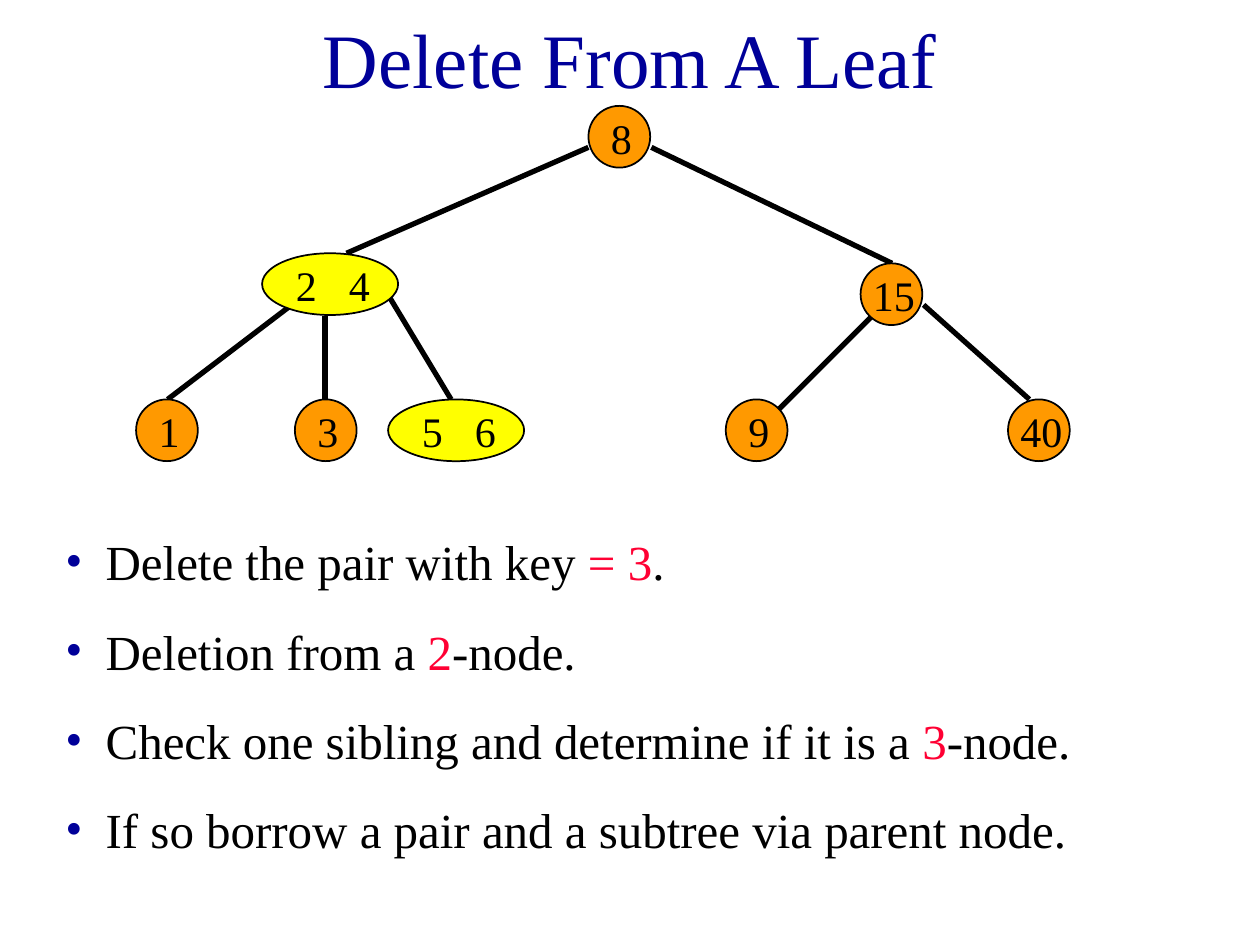
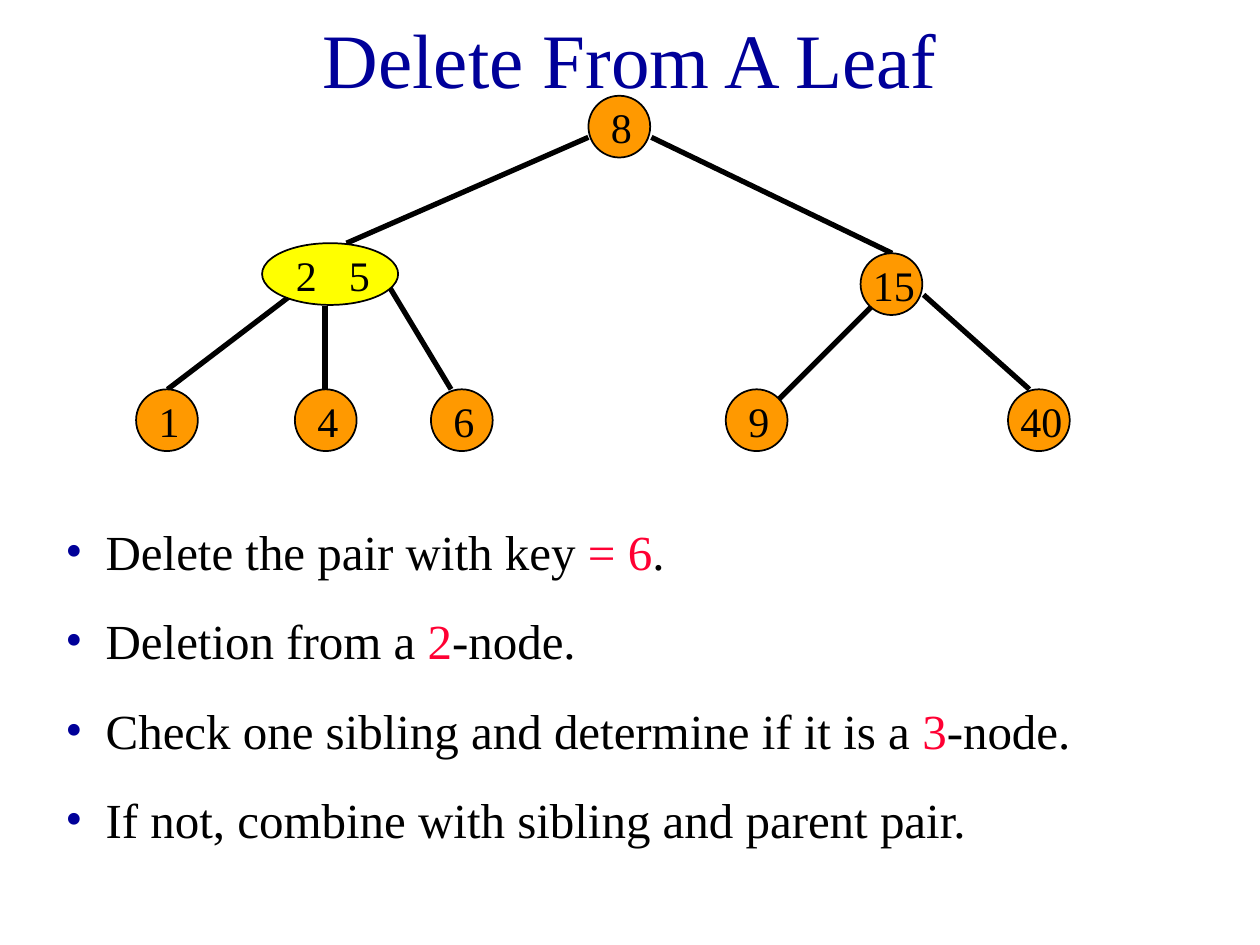
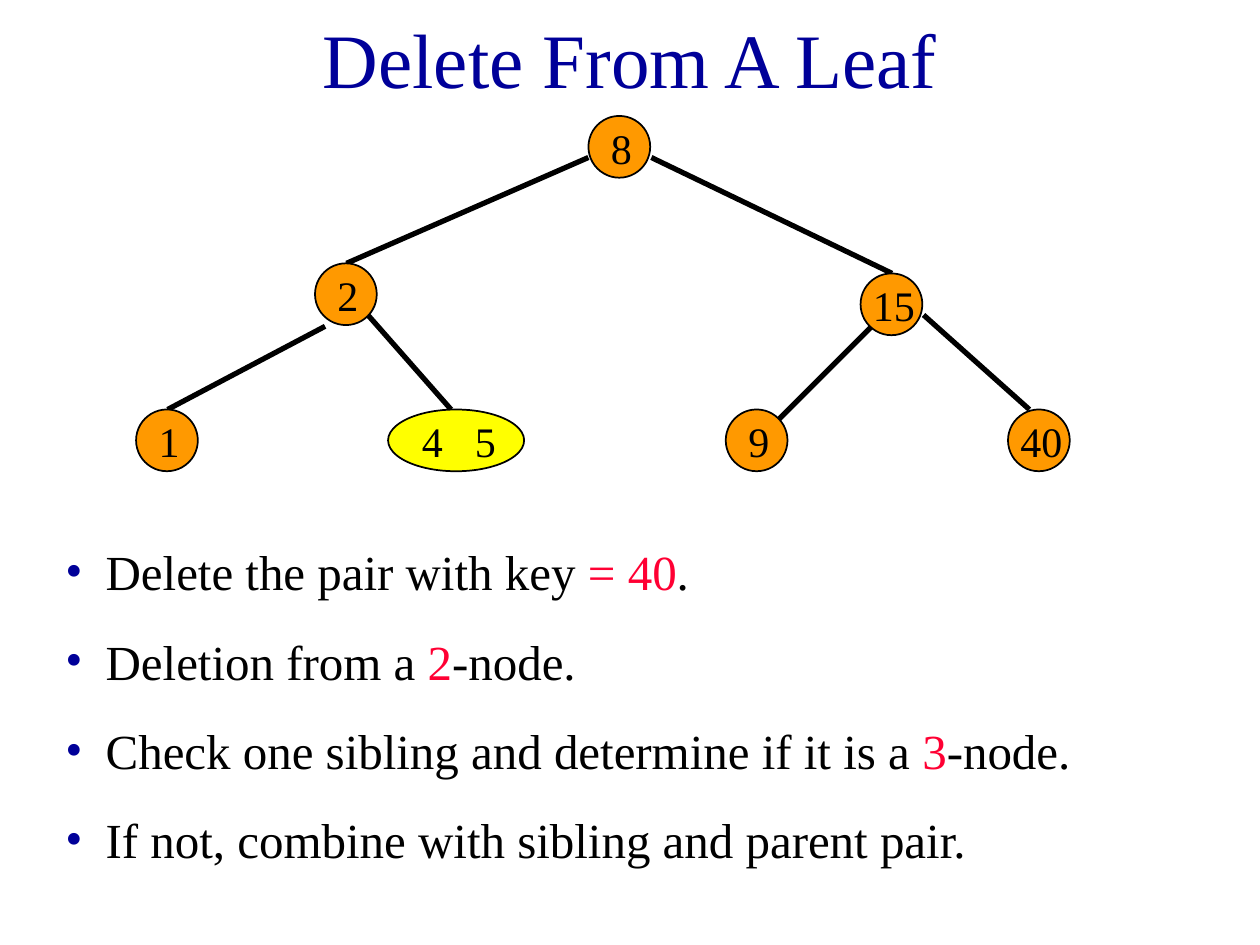
from lxml import etree
from pptx import Presentation
from pptx.dml.color import RGBColor
from pptx.enum.shapes import MSO_CONNECTOR, MSO_SHAPE
from pptx.enum.text import MSO_ANCHOR, PP_ALIGN
from pptx.oxml.ns import qn
from pptx.util import Inches, Pt

OVAL = MSO_SHAPE.OVAL
STRAIGHT = MSO_CONNECTOR.STRAIGHT
MIDDLE = MSO_ANCHOR.MIDDLE
LEFT, CENTER = PP_ALIGN.LEFT, PP_ALIGN.CENTER
BLACK = RGBColor(0x00, 0x00, 0x00)
NAVY = RGBColor(0x00, 0x00, 0x99)
RED = RGBColor(0xFF, 0x00, 0x33)
ORANGE = RGBColor(0xFF, 0x99, 0x00)
YELLOW = RGBColor(0xFF, 0xFF, 0x00)
FONT = "Times New Roman"
NODE, PAIR = 0.49, 1.08
INDENT = 0.32
KEY_TAB = 0.42

# Heights below the top of the root
MID, RIGHT_MID, LEAF = 1.17, 1.25, 2.33
LIST = 3.33


def write(para, text, size=24, color=BLACK, align=LEFT, before=0):
    """Fill a paragraph; parts between asterisks turn red."""
    para.alignment = align
    para.space_before = Pt(before)
    for i, part in enumerate(text.split("*")):
        run = para.add_run()
        run.text = part
        run.font.name = FONT
        run.font.size = Pt(size)
        run.font.color.rgb = RED if i % 2 else color


def add_bullet(para):
    props = para._p.get_or_add_pPr()
    props.set("marL", str(Inches(INDENT)))
    props.set("indent", str(-Inches(INDENT)))
    tint = etree.SubElement(props, qn("a:buClr"))
    etree.SubElement(tint, qn("a:srgbClr"), val=str(NAVY))
    etree.SubElement(props, qn("a:buFont"), typeface=FONT)
    etree.SubElement(props, qn("a:buChar"), char="•")


def add_tab(para, inches):
    stops = etree.SubElement(para._p.get_or_add_pPr(), qn("a:tabLst"))
    etree.SubElement(stops, qn("a:tab"), pos=str(Inches(inches)), algn="l")


class Deck:
    def __init__(self):
        self.prs = Presentation()
        self.prs.slide_width = Inches(10)
        self.prs.slide_height = Inches(7.5)

    def start(self, title, top):
        """Open a slide whose tree has its root at the given top."""
        self.slide = self.prs.slides.add_slide(self.prs.slide_layouts[5])
        self.top = top
        head = self.slide.shapes.title
        head.left, head.top = Inches(0.75), Inches(0)
        head.width, head.height = Inches(8.5), Inches(0.92)
        head.text_frame.vertical_anchor = MIDDLE
        write(head.text_frame.paragraphs[0], title, 44, NAVY, CENTER)

    def box(self, x, y, width, height):
        shape = self.slide.shapes.add_textbox(
            Inches(x), Inches(self.top + y), Inches(width), Inches(height))
        shape.text_frame.word_wrap = True
        return shape.text_frame

    def node(self, x, y, *keys):
        pair = len(keys) == 2
        oval = self.slide.shapes.add_shape(
            OVAL, Inches(x), Inches(self.top + y),
            Inches(PAIR if pair else NODE), Inches(NODE))
        oval.shadow.inherit = False
        oval.fill.solid()
        oval.fill.fore_color.rgb = YELLOW if pair else ORANGE
        oval.line.color.rgb = BLACK
        oval.line.width = Pt(1)
        if pair:
            shift, width = 0.17, 0.83
        elif keys[0] > 9:
            shift, width = 0, 0.59
        else:
            shift, width = 0.08, 0.42
        para = self.box(x + shift, y, width, 0.5).paragraphs[0]
        write(para, "\t".join(map(str, keys)), before=15)
        if pair:
            add_tab(para, KEY_TAB)

    def edge(self, x1, y1, x2, y2):
        line = self.slide.shapes.add_connector(
            STRAIGHT, Inches(x1), Inches(self.top + y1),
            Inches(x2), Inches(self.top + y2))
        line.line.color.rgb = BLACK
        line.line.width = Pt(3)
        etree.SubElement(line._element.spPr, qn("a:effectLst"))

    def bullets(self, items):
        frame = self.box(0.42, LIST, 9.58, 2.7)
        for i, item in enumerate(items):
            para = frame.add_paragraph() if i else frame.paragraphs[0]
            write(para, item, 28, before=17.5)
            add_bullet(para)


BORROW = "If so borrow a pair and a subtree via parent node."
COMBINE = "If not, combine with sibling and parent pair."

SHARED_EDGES = [
    (4.67, 0.33, 2.75, MID), (5.17, 0.33, 7.08, RIGHT_MID),
    (6.92, 1.67, 6.17, 2.42), (7.33, 1.58, 8.17, LEAF),
]
SHARED_NODES = [
    (4.67, 0, 8), (6.83, RIGHT_MID, 15),
    (1.08, LEAF, 1), (5.76, LEAF, 9), (8, LEAF, 40),
]
THREE_WAY = [
    (2.42, 1.5, 1.33, LEAF), (2.58, 1.67, 2.58, LEAF), (3.08, 1.5, 3.58, LEAF),
]
TWO_WAY = [(2.58, 1.67, 1.33, LEAF), (2.92, 1.58, 3.58, LEAF)]

# Root top, key to delete, last step, left edges, left nodes
SLIDES = [
    (0.84, 3, BORROW, THREE_WAY,
     [(2.08, MID, 2, 4), (2.34, LEAF, 3), (3.08, LEAF, 5, 6)]),
    (0.76, 6, COMBINE, THREE_WAY,
     [(2.08, MID, 2, 5), (2.34, LEAF, 4), (3.42, LEAF, 6)]),
    (0.92, 40, COMBINE, TWO_WAY,
     [(2.5, MID, 2), (3.08, LEAF, 4, 5)]),
]


def main():
    deck = Deck()
    for top, key, step, edges, nodes in SLIDES:
        deck.start("Delete From A Leaf", top)
        for edge in SHARED_EDGES + edges:
            deck.edge(*edge)
        for node in SHARED_NODES + nodes:
            deck.node(*node)
        deck.bullets([
            f"Delete the pair with key *= {key}*.",
            "Deletion from a *2*-node.",
            "Check one sibling and determine if it is a *3*-node.",
            step,
        ])
    deck.prs.save("out.pptx")


if __name__ == "__main__":
    main()
